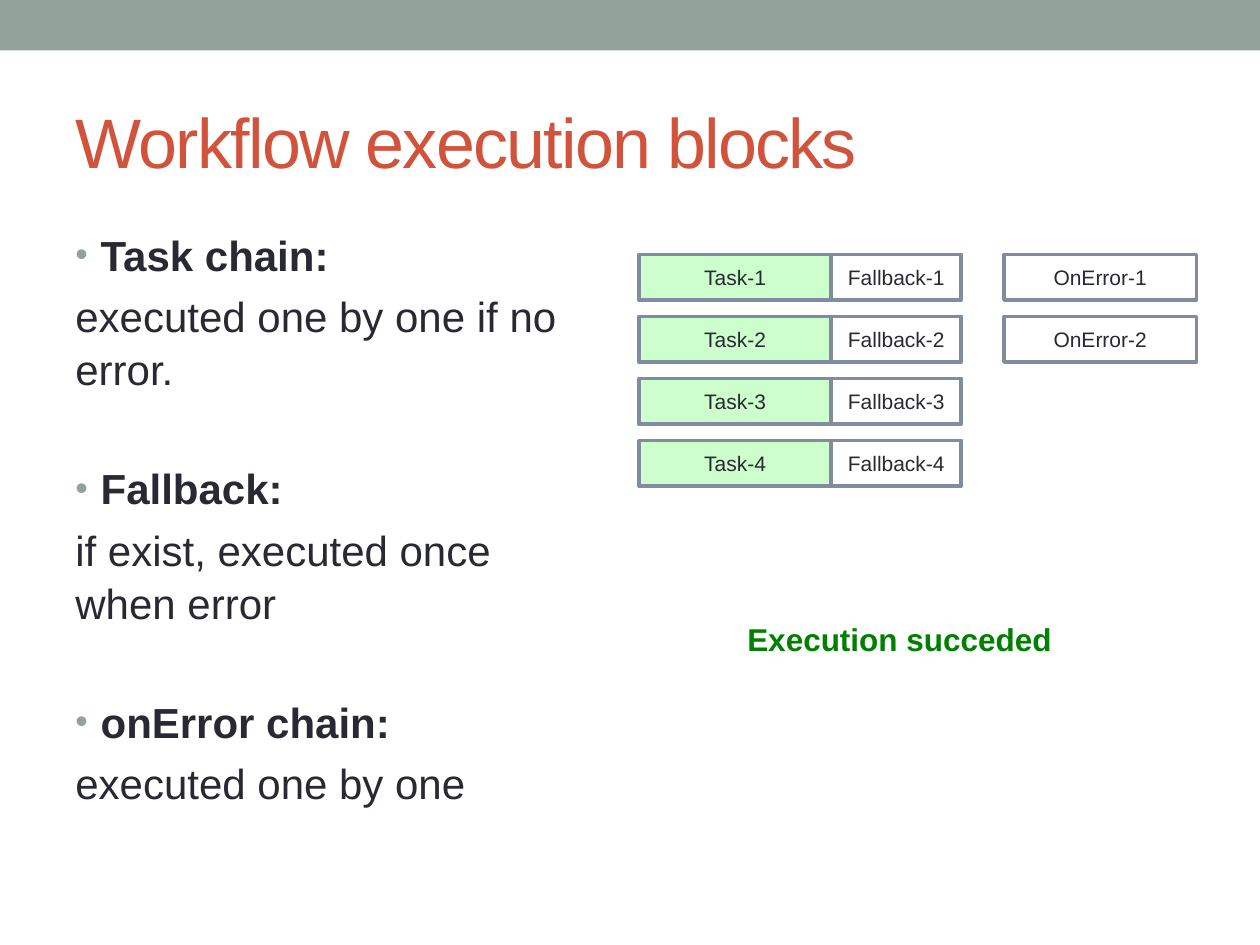
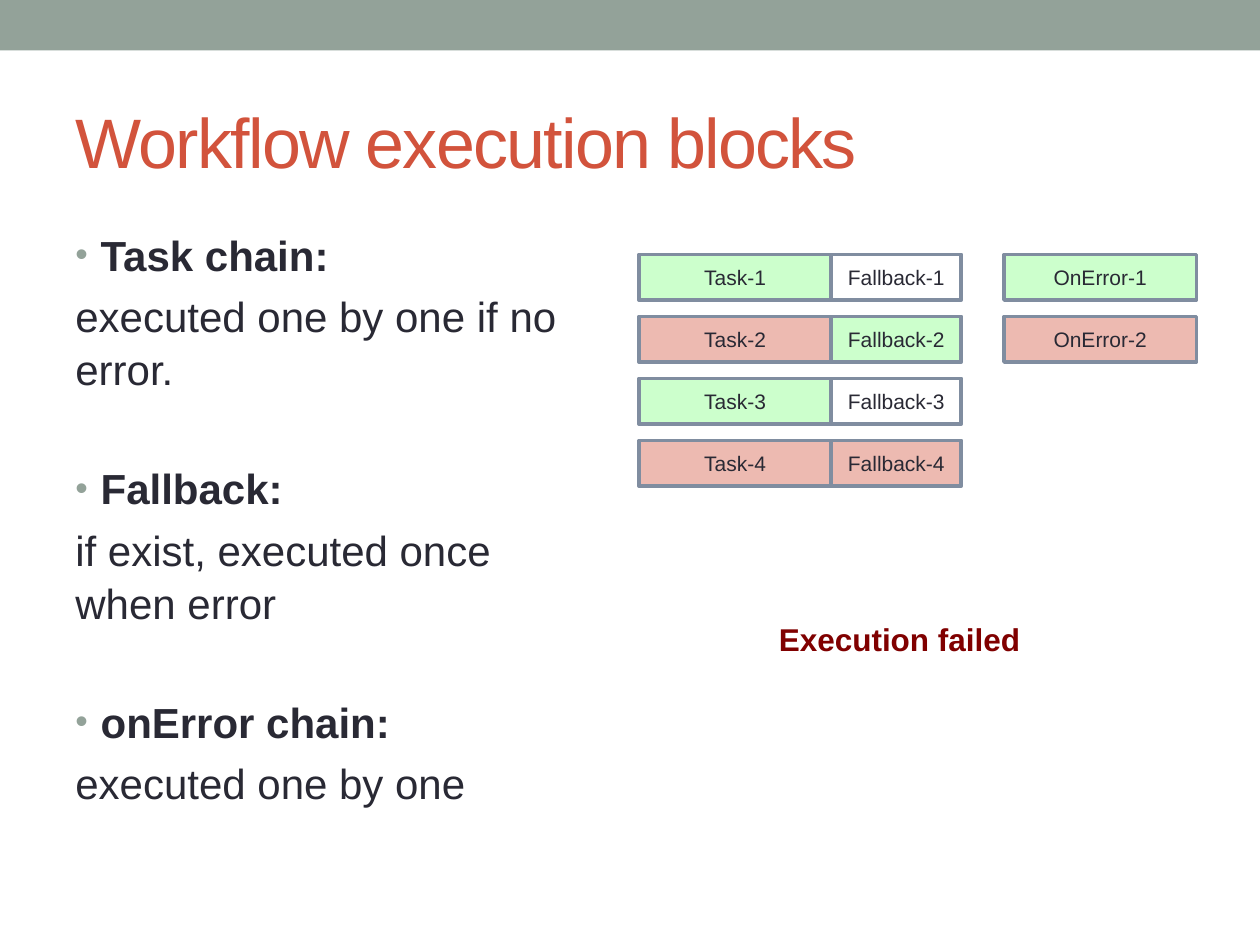
from dataclasses import dataclass
from typing import Any

from lxml.etree import SubElement
from pptx import Presentation
from pptx.dml.color import RGBColor
from pptx.enum.shapes import MSO_SHAPE as Shape
from pptx.enum.text import MSO_ANCHOR as Anchor, MSO_AUTO_SIZE as AutoSize, PP_ALIGN as Align
from pptx.oxml.ns import qn
from pptx.util import Cm, Pt

FONT = "Arial"
TEXT, ACCENT, BAND, BORDER = "292934", "D2533C", "93A299", "808DA0"
IDLE, DONE, FAILED = "FFFFFF", "CCFFCC", "EDBAB1"

ROW_TOP, ROW_PITCH, ROW_HEIGHT = 5.13, 1.25, 0.92
BULLET_INDENT = Cm(0.51)
LINE_GAP, SECTION_GAP = Pt(4.8), Pt(38)

SECTIONS = [
    ("Task chain:", "executed one by one if no error."),
    ("Fallback:", "if exist, executed once when error"),
    ("onError chain:", "executed one by one"),
]


@dataclass(frozen=True)
class Column:
    label: str
    left: float
    width: float


@dataclass(frozen=True)
class Run:
    """One workflow run: a state colour per block, from top to bottom."""
    tasks: list[str]
    fallbacks: list[str]
    on_errors: list[str]
    verdict: str
    verdict_color: str


COLUMNS = [
    Column("Task", 12.88, 3.88),
    Column("Fallback", 16.76, 2.62),
    Column("OnError", 20.24, 3.88),
]

RUNS = [
    Run([DONE] * 4, [IDLE] * 4, [IDLE] * 2, "Execution succeded", "008000"),
    Run([DONE, FAILED, DONE, FAILED], [IDLE, DONE, IDLE, FAILED], [DONE, FAILED],
        "Execution failed", "800000"),
]


def rgb(value: str) -> RGBColor:
    return RGBColor.from_string(value)


def set_all(target: Any, values: dict[str, Any]) -> None:
    for name, value in values.items():
        setattr(target, name, value)


def place(left: float, top: float, width: float, height: float) -> dict[str, Any]:
    return dict(left=Cm(left), top=Cm(top), width=Cm(width), height=Cm(height))


def write(p: Any, text: str, size: float, color: str = TEXT, bold: bool = False) -> Any:
    r = p.add_run()
    r.text = text
    set_all(r.font, dict(name=FONT, size=Pt(size), bold=bold))
    r.font.color.rgb = rgb(color)
    return r


def add_rect(s: Any, box: dict[str, Any], fill: str) -> Any:
    sp = s.shapes.add_shape(Shape.RECTANGLE, **box)
    sp.shadow.inherit = False
    sp.fill.solid()
    sp.fill.fore_color.rgb = rgb(fill)
    sp.line.fill.background()
    return sp


def add_title(s: Any, text: str) -> None:
    sp = s.shapes.title
    set_all(sp, place(1.27, 1.47, 22.86, 2.74))
    set_all(sp.text_frame, dict(vertical_anchor=Anchor.MIDDLE, auto_size=AutoSize.NONE))
    p = sp.text_frame.paragraphs[0]
    p.alignment = Align.LEFT
    r = write(p, text, 40, ACCENT)
    r.font._element.set("spc", "-100")


def add_bullet(p: Any) -> None:
    pPr = p._p.get_or_add_pPr()
    pPr.set("marL", str(BULLET_INDENT))
    pPr.set("indent", str(-BULLET_INDENT))
    color = SubElement(pPr, qn("a:buClr"))
    SubElement(color, qn("a:srgbClr"), val=BAND)
    SubElement(pPr, qn("a:buSzPct"), val="85000")
    SubElement(pPr, qn("a:buFont"), typeface=FONT)
    SubElement(pPr, qn("a:buChar"), char="•")


def add_sections(s: Any) -> None:
    tf = s.shapes.add_textbox(**place(1.27, 4.45, 10.59, 13.54)).text_frame
    tf.word_wrap = True
    for i, (heading, detail) in enumerate(SECTIONS):
        p = tf.add_paragraph() if i else tf.paragraphs[0]
        set_all(p, dict(space_before=SECTION_GAP if i else LINE_GAP, line_spacing=1.05))
        add_bullet(p)
        write(p, heading, 24, bold=True)
        p = tf.add_paragraph()
        set_all(p, dict(space_before=LINE_GAP, line_spacing=1.05))
        write(p, detail, 24)


def add_column(s: Any, column: Column, states: list[str]) -> None:
    for row, state in enumerate(states):
        top = ROW_TOP + row * ROW_PITCH
        sp = add_rect(s, place(column.left, top, column.width, ROW_HEIGHT), state)
        sp.line.color.rgb = rgb(BORDER)
        sp.line.width = Pt(2.08)
        sp.text_frame.vertical_anchor = Anchor.MIDDLE
        p = sp.text_frame.paragraphs[0]
        p.alignment = Align.CENTER
        write(p, f"{column.label}-{row + 1}", 12)


def add_verdict(s: Any, run: Run) -> None:
    tf = s.shapes.add_textbox(**place(14.68, 12.37, 6.91, 1.02)).text_frame
    set_all(tf, dict(word_wrap=True, auto_size=AutoSize.SHAPE_TO_FIT_TEXT))
    p = tf.paragraphs[0]
    p.alignment = Align.CENTER
    write(p, run.verdict, 18, run.verdict_color, bold=True)


def add_run_slide(prs: Any, run: Run) -> None:
    s = prs.slides.add_slide(prs.slide_layouts.get_by_name("Title Only"))
    add_rect(s, place(0, 0, 25.4, 1.02), BAND)
    add_title(s, "Workflow execution blocks")
    add_sections(s)
    for column, states in zip(COLUMNS, (run.tasks, run.fallbacks, run.on_errors)):
        add_column(s, column, states)
    add_verdict(s, run)


def main() -> None:
    prs = Presentation()
    set_all(prs, dict(slide_width=Cm(25.4), slide_height=Cm(19.05)))
    for run in RUNS:
        add_run_slide(prs, run)
    prs.save("out.pptx")


if __name__ == "__main__":
    main()
